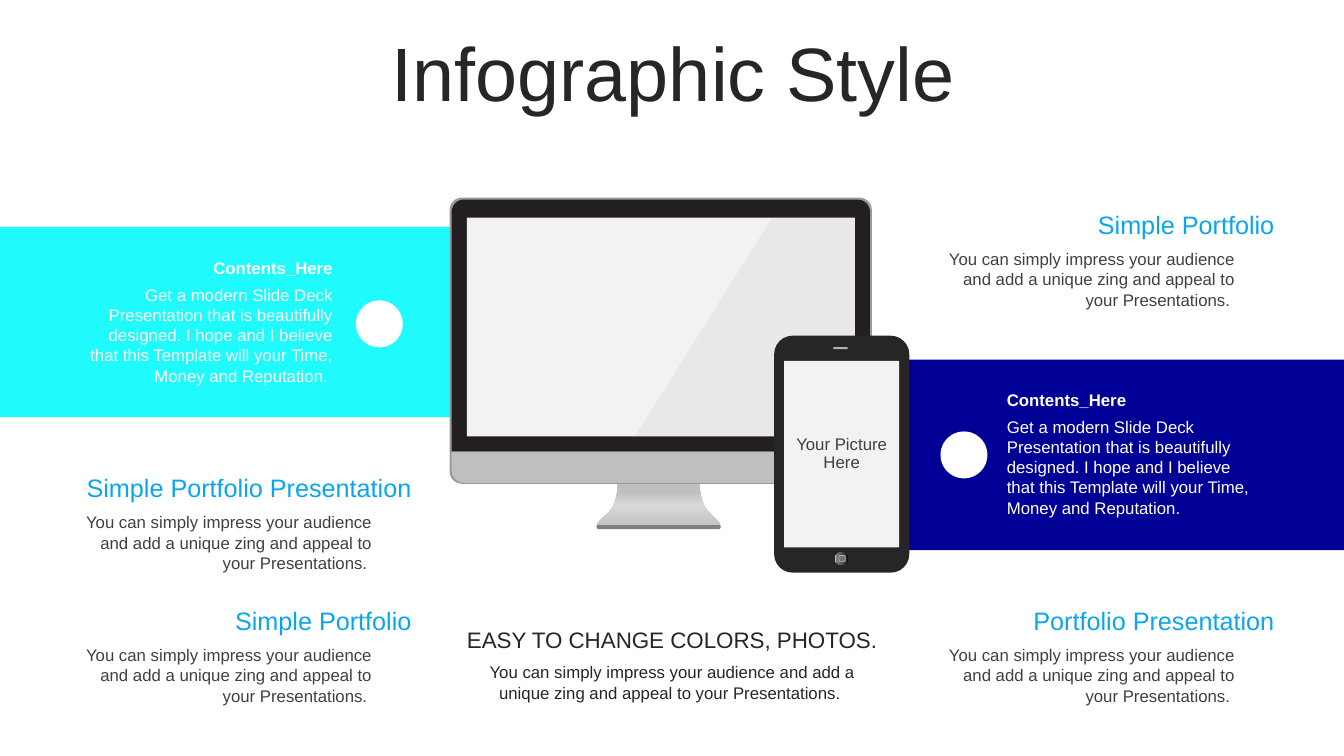
import copy
from dataclasses import dataclass

import pptx
import pptx.dml.color
import pptx.enum.shapes
import pptx.enum.text
import pptx.oxml.ns
import pptx.util
from lxml import etree

Pt = pptx.util.Pt
Shape = pptx.enum.shapes.MSO_SHAPE
Align = pptx.enum.text.PP_ALIGN
Anchor = pptx.enum.text.MSO_ANCHOR
AutoSize = pptx.enum.text.MSO_AUTO_SIZE
qn = pptx.oxml.ns.qn


@dataclass(frozen=True)
class Theme:
    font: str = "Arial"
    title_size: int = 54
    heading_size: int = 18
    slogan_size: int = 16
    body_size: int = 12
    ink: str = "262626"
    soft_ink: str = "404040"
    white: str = "FFFFFF"
    accent: str = "0AA6ED"
    cyan: str = "1FFBFD"
    navy: str = "000096"
    edge: str = "999999"
    bezel: str = "231F20"
    chin: str = "BFBFBF"
    base: str = "808080"
    glass: str = "F2F2F2"
    metal: str = "B0B0B0"
    key: str = "737373"
    stand_stops: tuple = ((0, "BFBFBF"), (53, "D9D9D9"), (83, "BFBFBF"), (100, "BFBFBF"))
    button_stops: tuple = ((0, "0F0F0F"), (56, "595959"), (91, "808080"), (100, "BFBFBF"))


THEME = Theme()
PITCH = ("You can simply impress your audience and add a unique zing "
         "and appeal to your Presentations. ")
PROMISE = ("Get a modern Slide Deck Presentation that is beautifully designed. "
           "I hope and I believe that this Template will your Time, "
           "Money and Reputation.")


def rgb(color):
    return pptx.dml.color.RGBColor.from_string(color)


def apply(target, values):
    for name, value in values.items():
        setattr(target, name, value)


def write_text(shape, text, size, color, align=Align.LEFT, anchor=Anchor.TOP,
               spacing=1.0, bold=False, auto_size=AutoSize.NONE):
    frame = shape.text_frame
    apply(frame, {"word_wrap": True, "vertical_anchor": anchor, "auto_size": auto_size})
    para = frame.paragraphs[0]
    apply(para, {"alignment": align, "line_spacing": spacing, "space_before": Pt(0)})
    span = para.add_run()
    span.text = text
    apply(span.font, {"name": THEME.font, "size": Pt(size), "bold": bold})
    span.font.color.rgb = rgb(color)


def add_text(page, bounds, text, size, color, **layout):
    box = page.shapes.add_textbox(*map(Pt, bounds))
    write_text(box, text, size, color, auto_size=AutoSize.SHAPE_TO_FIT_TEXT, **layout)


def paint(shape, color, alpha=None):
    shape.shadow.inherit = False
    shape.line.fill.background()
    shape.fill.solid()
    shape.fill.fore_color.rgb = rgb(color)
    if alpha is not None:
        tint = shape.element.spPr.find(f"{qn('a:solidFill')}/{qn('a:srgbClr')}")
        etree.SubElement(tint, qn("a:alpha")).set("val", str(alpha * 1000))


def paint_gradient(shape, stops, angle):
    shape.fill.gradient()
    shape.fill.gradient_angle = angle
    stop_list = shape.element.spPr.find(f"{qn('a:gradFill')}/{qn('a:gsLst')}")
    for old in list(stop_list):
        stop_list.remove(old)
    for position, color in stops:
        stop = etree.SubElement(stop_list, qn("a:gs"), pos=str(position * 1000))
        etree.SubElement(stop, qn("a:srgbClr"), val=color)


def add_block(page, kind, bounds, color, adjustments=()):
    block = page.shapes.add_shape(kind, *map(Pt, bounds))
    for index, value in enumerate(adjustments):
        block.adjustments[index] = value
    paint(block, color)
    return block


def add_outline(page, points, color, alpha=None):
    corners = [(Pt(x), Pt(y)) for x, y in points]
    builder = page.shapes.build_freeform(*corners[0], scale=1.0)
    builder.add_line_segments(corners[1:], close=True)
    outline = builder.convert_to_shape()
    paint(outline, color, alpha)
    return outline


def curve(start, first, second, end, steps=12):
    def at(t):
        weights = ((1 - t) ** 3, 3 * t * (1 - t) ** 2, 3 * t * t * (1 - t), t ** 3)
        return tuple(sum(w * p[axis] for w, p in zip(weights, (start, first, second, end)))
                     for axis in (0, 1))
    return [at(step / steps) for step in range(steps + 1)]


def add_monitor(page):
    center = 470.5
    side = curve((29.1, 345.6), (29.1, 345.6), (29.1, 359.3), (35.7, 365.8))
    side += curve((35.7, 365.8), (42.1, 372.2), (51.5, 378), (34.9, 378))
    right = [(center + x, y) for x, y in side]
    left = [(center - x, y) for x, y in reversed(side)]
    stand = add_outline(page, right + left, THEME.chin)
    paint_gradient(stand, THEME.stand_stops, 90)
    for kind, bounds, color, adjustments in (
        (Shape.ROUNDED_RECTANGLE, (321.1, 141.1, 301.7, 204.5), THEME.edge, (0.044,)),
        (Shape.ROUND_2_SAME_RECTANGLE, (322.6, 142.6, 298.8, 180), THEME.bezel, (0.048, 0)),
        (Shape.ROUND_2_SAME_RECTANGLE, (426.2, 375.1, 88.6, 2.9), THEME.base, (0, 0.5)),
        (Shape.ROUND_2_SAME_RECTANGLE, (322.6, 322.6, 298.8, 22.3), THEME.chin, (0, 0.4)),
        (Shape.RECTANGLE, (333.4, 155.5, 277.2, 156.2), THEME.glass, ()),
    ):
        add_block(page, kind, bounds, color, adjustments)
    glare = [(551.5, 155.5), (610.6, 155.5), (610.6, 311.7), (453.6, 311.7)]
    add_outline(page, glare, THEME.edge, alpha=10)


def add_tablet(page):
    add_block(page, Shape.ROUNDED_RECTANGLE, (553, 239.8, 96.5, 169.2), THEME.ink, (0.136,))
    add_block(page, Shape.RECTANGLE, (595.4, 248, 10.1, 1.4), THEME.metal)
    button = add_block(page, Shape.OVAL, (596.5, 394.4, 9.4, 9.4), THEME.ink)
    paint_gradient(button, THEME.button_stops, 180)
    key = add_block(page, Shape.ROUNDED_RECTANGLE, (599.3, 396.8, 4.5, 4.5), THEME.key)
    key.line.color.rgb = rgb(THEME.metal)
    key.line.width = Pt(0.5)
    screen = add_block(page, Shape.RECTANGLE, (560.2, 257.8, 82.1, 133.2), THEME.glass)
    write_text(screen, "Your Picture Here", THEME.body_size, THEME.soft_ink,
               align=Align.CENTER, anchor=Anchor.MIDDLE, spacing=0.9)


def add_panel_text(page, left, top, width, align, promise):
    layout = {"align": align, "anchor": Anchor.MIDDLE}
    add_text(page, (left, top, width, 21.6), "Contents_Here",
             THEME.body_size, THEME.white, bold=True, **layout)
    add_text(page, (left, top + 18.7, width, 79.9), promise,
             THEME.body_size, THEME.white, **layout)


def add_feature(page, left, top, heading):
    add_text(page, (left, top, 293.8, 24.5), heading, THEME.heading_size, THEME.accent,
             align=Align.RIGHT, spacing=0.8)
    add_text(page, (left + 35.3, top + 24.5, 230.4, 51.1), PITCH, THEME.body_size,
             THEME.soft_ink, align=Align.RIGHT)


def add_title(page, text):
    title = page.shapes.title
    bounds = map(Pt, (25.2, 26.6, 911.5, 56.9))
    apply(title, dict(zip(("left", "top", "width", "height"), bounds)))
    write_text(title, text, THEME.title_size, THEME.ink, align=Align.CENTER,
               anchor=Anchor.MIDDLE, spacing=0.9)


def main():
    deck = pptx.Presentation()
    apply(deck, {"slide_width": Pt(960), "slide_height": Pt(540)})
    page = deck.slides.add_slide(deck.slide_layouts[5])

    add_title(page, "Infographic Style")
    add_block(page, Shape.RECTANGLE, (0, 162, 329.8, 136), THEME.cyan)
    add_block(page, Shape.RECTANGLE, (612, 257, 348, 136), THEME.navy)
    add_monitor(page)
    add_tablet(page)

    for left, top in ((254.2, 214.6), (671.8, 308.2)):
        add_block(page, Shape.OVAL, (left, top, 33.5, 33.5), THEME.white)
    add_panel_text(page, 52.6, 180.7, 192.2, Align.RIGHT, PROMISE + " ")
    add_panel_text(page, 712.1, 275, 195.1, Align.LEFT, PROMISE)

    for left, top, heading in (
        (7.2, 337.7, "Simple Portfolio Presentation"),
        (7.2, 432.7, "Simple Portfolio"),
        (623.5, 149.8, "Simple Portfolio"),
        (623.5, 432.7, "Portfolio Presentation"),
    ):
        add_feature(page, left, top, heading)

    add_text(page, (325.4, 443.5, 309.6, 26.6), "EASY TO CHANGE COLORS, PHOTOS.",
             THEME.slogan_size, THEME.ink, align=Align.CENTER)
    add_text(page, (327.6, 469.4, 305.3, 36), PITCH, THEME.body_size, THEME.ink,
             align=Align.CENTER)
    deck.save("out.pptx")


if __name__ == "__main__":
    main()
